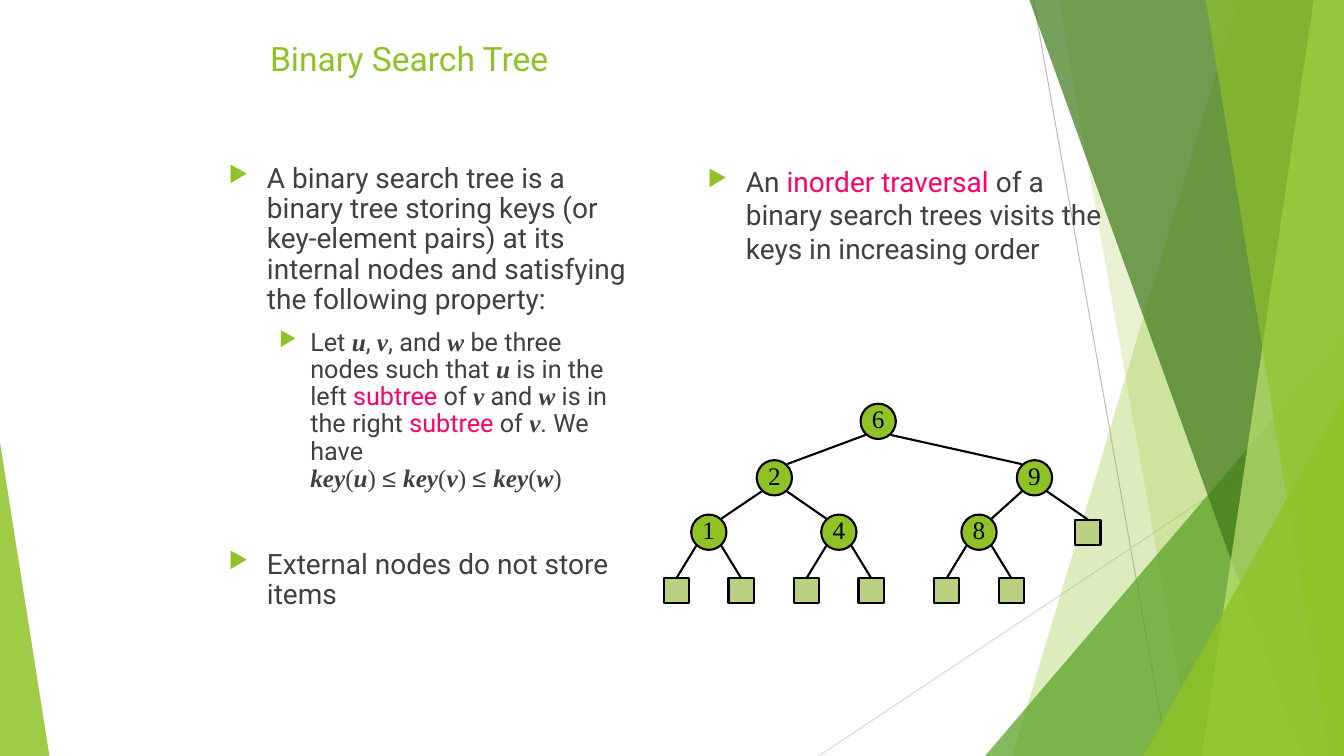
"""Build the Binary Search Tree slide."""
import dataclasses

import lxml.etree
import pptx
import pptx.dml.color
import pptx.enum.shapes
import pptx.enum.text
import pptx.oxml.ns
import pptx.util

Inches = pptx.util.Inches
Pt = pptx.util.Pt
RGBColor = pptx.dml.color.RGBColor
Shapes = pptx.enum.shapes.MSO_SHAPE
qn = pptx.oxml.ns.qn

LIME = RGBColor(0x90, 0xC2, 0x26)
PALE_LIME = RGBColor(0xC0, 0xE4, 0x74)
LEAF_GREEN = RGBColor(0xB9, 0xD1, 0x81)
GRASS = RGBColor(0x54, 0xA0, 0x21)
FOREST = RGBColor(0x3F, 0x78, 0x19)
PINK = RGBColor(0xFF, 0x00, 0x66)
TEXT_GREY = RGBColor(0x40, 0x40, 0x40)
SILVER = RGBColor(0xBF, 0xBF, 0xBF)
LIGHT_SILVER = RGBColor(0xD9, 0xD9, 0xD9)
BLACK = RGBColor(0, 0, 0)

SLIDE_BOX = (0, 0, 13.33, 7.5)
NODE_SIZE = 0.35
LEAF_SIZE = 0.25
LEVELS = (0.18, 0.74, 1.28, 1.86)

RUN_STYLES = {
    "plain": ("Roboto", False, TEXT_GREY),
    "pink": ("Roboto", False, PINK),
    "variable": ("Times New Roman", True, TEXT_GREY),
    "bracket": ("Times New Roman", False, TEXT_GREY),
    "relation": ("Arial", False, TEXT_GREY),
}


@dataclasses.dataclass
class Node:
    """A tree node; an empty key marks an external node."""
    x: float
    key: str = ""
    children: tuple = ()


def with_leaves(x, key):
    """Return an internal node with two external children."""
    return Node(x, key, (Node(x - 0.32), Node(x + 0.32)))


TREE = Node(2.13, "6", (
    Node(1.1, "2", (with_leaves(0.45, "1"), with_leaves(1.74, "4"))),
    Node(3.68, "9", (with_leaves(3.13, "8"), Node(4.21))),
))

DEFINITION = [("plain", "A binary search tree is a binary tree storing keys (or key-element "
                        "pairs) at its internal nodes and satisfying the following property:")]
PROPERTY = [
    ("plain", "Let "), ("variable", "u"), ("plain", ", "), ("variable", "v"),
    ("plain", ", and "), ("variable", "w"), ("plain", " be three nodes such that "),
    ("variable", "u"), ("plain", " is in the left "), ("pink", "subtree"),
    ("plain", " of "), ("variable", "v"), ("plain", " and "), ("variable", "w"),
    ("plain", " is in the right "), ("pink", "subtree"), ("plain", " of "),
    ("variable", "v"), ("plain", ". We have "), ("break", ""),
    ("variable", "key"), ("bracket", "("), ("variable", "u"), ("bracket", ") "),
    ("relation", "≤ "), ("variable", "key"), ("bracket", "("), ("variable", "v"),
    ("bracket", ") "), ("relation", "≤ "), ("variable", "key"), ("bracket", "("),
    ("variable", "w"), ("bracket", ")"),
]
EXTERNAL = [("plain", "External nodes do not store items")]
TRAVERSAL = [("plain", "An "), ("pink", "inorder traversal"),
             ("plain", " of a binary search trees visits the keys in increasing order")]


def add_line(slide, start, end, color, width):
    """Draw a straight line between two points in inches."""
    line = slide.shapes.add_connector(
        pptx.enum.shapes.MSO_CONNECTOR.STRAIGHT, *map(Inches, (*start, *end)))
    line.line.color.rgb = color
    line.line.width = Pt(width)
    lxml.etree.SubElement(line._element.spPr, qn("a:effectLst"))


def paint_facet(shape, color, opacity):
    """Give a shape a translucent fill without outline or shadow."""
    shape.shadow.inherit = False
    shape.fill.solid()
    shape.fill.fore_color.rgb = color
    shape.line.fill.background()
    color_element = shape._element.spPr.find(qn("a:solidFill"))[0]
    lxml.etree.SubElement(color_element, qn("a:alpha"), val=str(opacity * 1000))


def add_panel(slide, box, top_x, bottom_x, color, opacity):
    """Draw a panel from a slanted left edge to the right side of the box."""
    left, top, width, height = box
    right, bottom = left + width, top + height
    builder = slide.shapes.build_freeform(Inches(left + top_x), Inches(top))
    corners = ((right, top), (right, bottom), (left + bottom_x, bottom))
    builder.add_line_segments([(Inches(x), Inches(y)) for x, y in corners], close=True)
    paint_facet(builder.convert_to_shape(), color, opacity)


def add_wedge(slide, box, left, width, height, apex, color, opacity):
    """Draw a triangle standing on the bottom of the box."""
    top = box[1] + box[3] - height
    shape = slide.shapes.add_shape(
        Shapes.ISOSCELES_TRIANGLE, *map(Inches, (box[0] + left, top, width, height)))
    shape.adjustments[0] = apex
    paint_facet(shape, color, opacity)


def add_backdrop(slide, box):
    """Draw the green facets and thin lines around the content."""
    left, top, width, height = box
    bottom = top + height
    add_line(slide, (left + 10.25, top), (left + 11.58, bottom), SILVER, 0.75)
    add_line(slide, (left + width, top + 4.03), (left + 8.12, bottom), LIGHT_SILVER, 0.75)
    add_panel(slide, box, 12.28, 10.04, LIME, 30)
    add_panel(slide, box, 10.5, 11.83, LIME, 20)
    add_wedge(slide, box, 9.77, 3.56, 4.17, 1, GRASS, 72)
    add_panel(slide, box, 10.21, 12.91, FOREST, 70)
    add_panel(slide, box, 13.03, 11.92, PALE_LIME, 70)
    add_panel(slide, box, 11.96, 13.18, LIME, 65)
    add_wedge(slide, box, 11.34, 1.99, 3.57, 1, LIME, 80)
    add_wedge(slide, box, 0, 0.49, 3.11, 0, LIME, 85)


def add_title(slide, box):
    """Place the slide title."""
    text_frame = slide.shapes.add_textbox(*map(Inches, box)).text_frame
    text_frame.word_wrap = True
    text_frame.text = "Binary Search Tree"
    font = text_frame.paragraphs[0].runs[0].font
    font.name, font.size, font.color.rgb = "Roboto", Pt(24), LIME


def format_bullet(paragraph, margin, hanging):
    """Give a paragraph a green arrow bullet and a hanging indent."""
    properties = paragraph._p.get_or_add_pPr()
    properties.set("marL", str(Inches(margin)))
    properties.set("indent", str(-Inches(hanging)))
    color = lxml.etree.SubElement(properties, qn("a:buClr"))
    lxml.etree.SubElement(color, qn("a:srgbClr"), val=str(LIME))
    lxml.etree.SubElement(properties, qn("a:buSzPct"), val="80000")
    lxml.etree.SubElement(properties, qn("a:buChar"), char="▶")


def add_bullets(slide, box, items, line_spacing):
    """Place bullets given as (level, space before, pieces)."""
    text_frame = slide.shapes.add_textbox(*map(Inches, box)).text_frame
    text_frame.word_wrap = True
    for index, (level, space_before, pieces) in enumerate(items):
        paragraph = text_frame.add_paragraph() if index else text_frame.paragraphs[0]
        paragraph.level = level
        format_bullet(paragraph, *((0.81, 0.31) if level else (0.38, 0.38)))
        paragraph.line_spacing = line_spacing
        paragraph.space_before = Pt(space_before)
        for style, text in pieces:
            if style == "break":
                paragraph.add_line_break()
                continue
            run = paragraph.add_run()
            run.text = text
            name, emphasis, color = RUN_STYLES[style]
            run.font.name, run.font.size = name, Pt(18 if level else 20)
            run.font.bold = run.font.italic = emphasis
            run.font.color.rgb = color


def add_node(slide, center_x, center_y, key):
    """Draw a round keyed node or a square external node."""
    size = NODE_SIZE if key else LEAF_SIZE
    shape = slide.shapes.add_shape(
        Shapes.OVAL if key else Shapes.RECTANGLE,
        *map(Inches, (center_x - size / 2, center_y - size / 2, size, size)))
    shape.shadow.inherit = False
    shape.fill.solid()
    shape.fill.fore_color.rgb = LIME if key else LEAF_GREEN
    shape.line.color.rgb = BLACK
    shape.line.width = Pt(1.5)
    if key:
        text_frame = shape.text_frame
        text_frame.margin_left = text_frame.margin_right = text_frame.margin_top = 0
        text_frame.margin_bottom = Inches(0.05)
        text_frame.word_wrap = False
        text_frame.vertical_anchor = pptx.enum.text.MSO_ANCHOR.MIDDLE
        text_frame.text = key
        paragraph = text_frame.paragraphs[0]
        paragraph.alignment = pptx.enum.text.PP_ALIGN.CENTER
        font = paragraph.runs[0].font
        font.name, font.size, font.color.rgb = "Times New Roman", Pt(18), BLACK


def add_tree(slide, box, node, depth=0):
    """Draw a node, its edges and its subtrees inside the box."""
    left, top = box[:2]
    x, y = left + node.x, top + LEVELS[depth]
    for child in node.children:
        child_x, child_y = left + child.x, top + LEVELS[depth + 1]
        side = 0.125 if child_x > x else -0.125
        end = ((child_x - side, child_y - 0.135) if child.key
               else (child_x, child_y - LEAF_SIZE / 2))
        add_line(slide, (x + side, y + 0.135), end, BLACK, 1.5)
        add_tree(slide, box, child, depth + 1)
    add_node(slide, x, y, node.key)


def main():
    """Build and save the presentation."""
    presentation = pptx.Presentation()
    presentation.slide_width, presentation.slide_height = map(Inches, SLIDE_BOX[2:])
    slide = presentation.slides.add_slide(presentation.slide_layouts[6])
    add_backdrop(slide, SLIDE_BOX)
    add_title(slide, (2.58, 0.33, 8.25, 0.67))
    add_bullets(slide, (2.17, 1.58, 4.17, 5.25),
                [(0, 0, DEFINITION), (1, 10, PROPERTY), (0, 41, EXTERNAL)], 0.9)
    add_bullets(slide, (6.92, 1.58, 4.17, 1.75), [(0, 0, TRAVERSAL)], 1.0)
    add_tree(slide, (6.58, 4, 4.33, 1.98), TREE)
    presentation.save("out.pptx")


if __name__ == "__main__":
    main()
